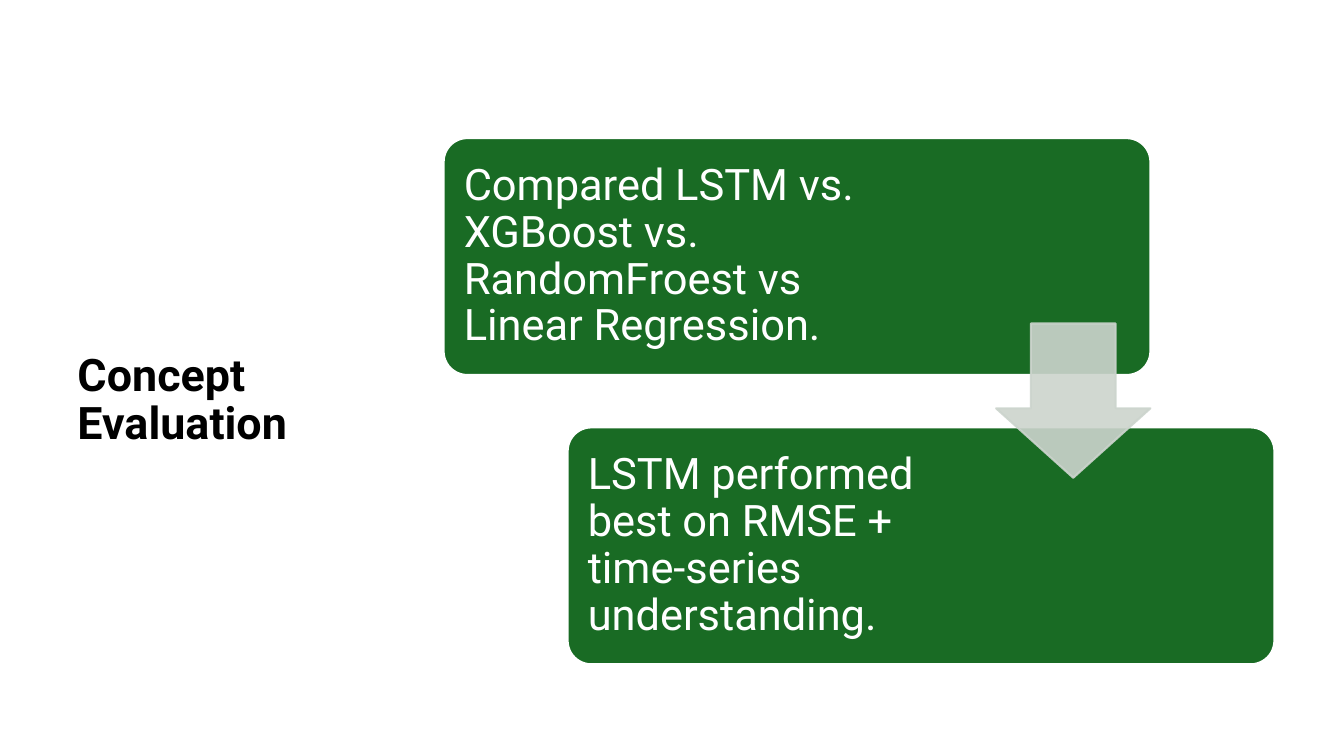
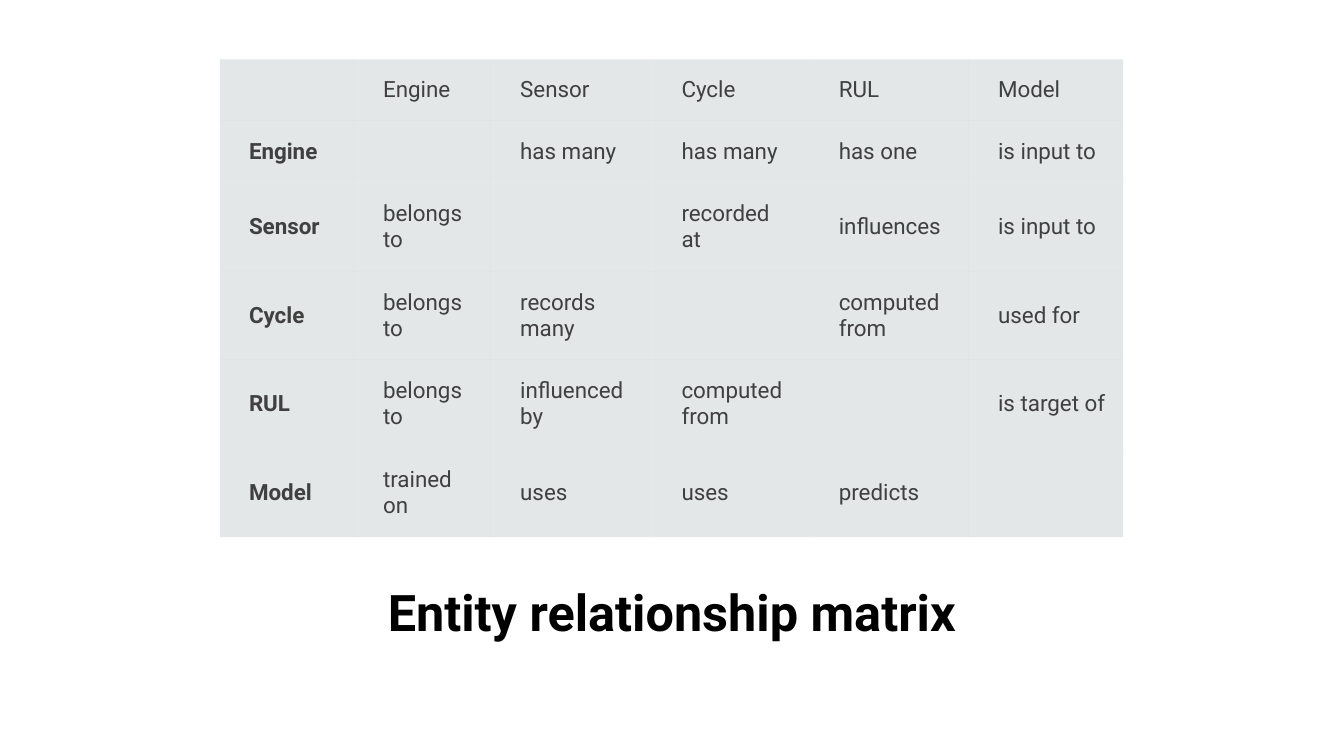
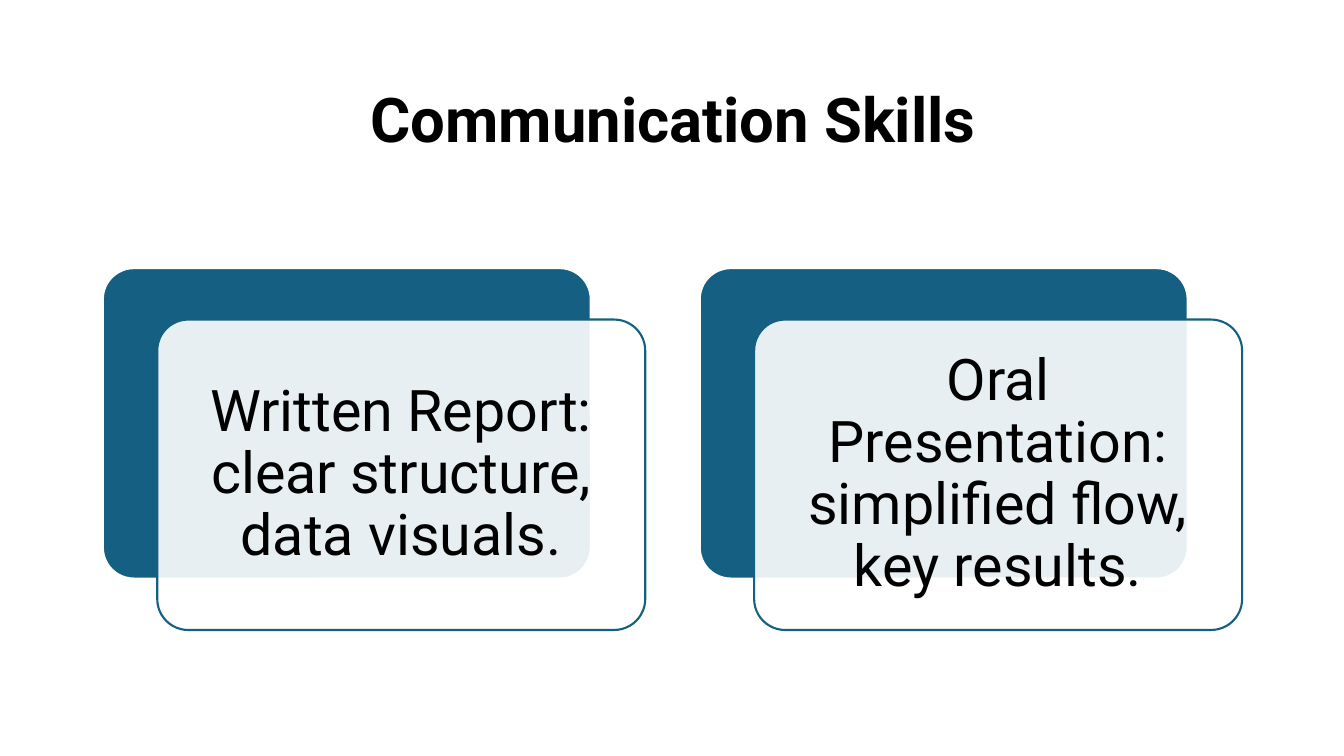
"""Build three project slides: evaluation steps, entity matrix and skills."""
from dataclasses import dataclass

from lxml import etree
from pptx import Presentation
from pptx import util as u
from pptx.dml.color import RGBColor
from pptx.enum import shapes, text
from pptx.oxml.ns import qn

SCALE = 9144
FONT = "Roboto"
BLACK = RGBColor(0x00, 0x00, 0x00)
WHITE = RGBColor(0xFF, 0xFF, 0xFF)
GREEN = RGBColor(0x19, 0x6B, 0x24)
SAGE = RGBColor(0xCC, 0xD4, 0xCD)
TEAL = RGBColor(0x15, 0x60, 0x82)
SLATE = RGBColor(0xB4, 0xBC, 0xBE)
GREY = RGBColor(0x40, 0x40, 0x40)
LEFT, MID = text.PP_ALIGN.LEFT, text.PP_ALIGN.CENTER
MIDDLE, BOTTOM = text.MSO_ANCHOR.MIDDLE, text.MSO_ANCHOR.BOTTOM
ROUND, ARROW = shapes.MSO_SHAPE.ROUNDED_RECTANGLE, shapes.MSO_SHAPE.DOWN_ARROW
NO_GRID = "{2D5ABB26-0587-4C30-8999-92F81FD0307C}"


@dataclass(frozen=True)
class Box:
    """A rectangle in px, 100 to the inch."""
    x: int
    y: int
    w: int
    h: int

    def emu(self) -> tuple:
        """Return the four lengths in EMU."""
        return tuple(px(n) for n in (self.x, self.y, self.w, self.h))


@dataclass(frozen=True)
class Style:
    """The look of one text."""
    size: int
    color: RGBColor = BLACK
    bold: bool = False
    align: int = LEFT
    anchor: int = MIDDLE
    pad: tuple = (10, 5)


@dataclass(frozen=True)
class Step:
    """A rounded panel with a label that fills part of its width."""
    x: int
    y: int
    width: int
    words: str


@dataclass(frozen=True)
class Card:
    """A pair of overlapping panels."""
    x: int
    words: str


STEPS = (
    Step(440, 137, 458,
         "Compared LSTM vs. XGBoost vs. RandomFroest vs Linear Regression."),
    Step(563, 424, 411,
         "LSTM performed best on RMSE + time-series understanding."),
)
CARDS = (
    Card(102, "Written Report: clear structure, data visuals."),
    Card(694, "Oral Presentation: simplified flow, key results."),
)
COLS = (133, 136, 160, 156, 158, 153)
ROWS = (61, 61, 88, 88, 88, 88)
MATRIX = (
    ("", "Engine", "Sensor", "Cycle", "RUL", "Model"),
    ("Engine", "", "has many", "has many", "has one", "is input to"),
    ("Sensor", "belongs to", "", "recorded at", "influences", "is input to"),
    ("Cycle", "belongs to", "records many", "", "computed from", "used for"),
    ("RUL", "belongs to", "influenced by", "computed from", "", "is target of"),
    ("Model", "trained on", "uses", "uses", "predicts", ""),
)


def px(n: int) -> u.Emu:
    """Turn px into EMU."""
    return u.Emu(n * SCALE)


def fade(node, share: int) -> None:
    """Make every colour under a node partly opaque."""
    for color in node.iter(qn("a:srgbClr")):
        etree.SubElement(color, qn("a:alpha")).set("val", str(share * 1000))


def ink(para, style: Style) -> None:
    """Format the runs of a paragraph."""
    for run in para.runs:
        run.font.name = FONT
        run.font.size = u.Pt(style.size)
        run.font.bold = style.bold
        run.font.color.rgb = style.color


def label(slide, box: Box, words: str, style: Style) -> None:
    """Add a wrapped text box."""
    frame = slide.shapes.add_textbox(*box.emu()).text_frame
    frame.word_wrap = True
    frame.vertical_anchor = style.anchor
    frame.margin_left = frame.margin_right = px(style.pad[0])
    frame.margin_top = frame.margin_bottom = px(style.pad[1])
    frame.text = words
    para = frame.paragraphs[0]
    para.alignment = style.align
    para.line_spacing = 0.9
    ink(para, style)


def title(slide, box: Box, words: str, size: int, align: int = MID,
          anchor: int = MIDDLE) -> None:
    """Add a bold slide title."""
    label(slide, box, words, Style(size, BLACK, True, align, anchor))


def panel(slide, kind: int, box: Box, fill: RGBColor, edge: RGBColor,
          cuts: tuple = (0.1,)):
    """Add a filled and outlined preset shape."""
    shape = slide.shapes.add_shape(kind, *box.emu())
    shape.shadow.inherit = False
    for i, cut in enumerate(cuts):
        shape.adjustments[i] = cut
    shape.fill.solid()
    shape.fill.fore_color.rgb = fill
    shape.line.color.rgb = edge
    shape.line.width = u.Pt(1.5)
    return shape


def concept(slide) -> None:
    """Draw the two evaluation steps."""
    title(slide, Box(67, 137, 318, 522), "Concept Evaluation", 32, LEFT)
    style = Style(31, WHITE, pad=(13, 13))
    for step in STEPS:
        panel(slide, ROUND, Box(step.x, step.y, 701, 235), GREEN, WHITE)
        label(slide, Box(step.x + 7, step.y + 7, step.width, 221),
              step.words, style)
    arrow = panel(slide, ARROW, Box(988, 321, 153, 153), SAGE, SAGE,
                  (0.45, 0.55))
    arrow.adjustments[0], arrow.adjustments[1] = 0.55, 0.45
    fade(arrow.element.spPr, 90)


def matrix(slide) -> None:
    """Draw the entity table."""
    title(slide, Box(218, 562, 897, 80), "Entity relationship matrix", 36,
          anchor=BOTTOM)
    box = Box(218, 59, sum(COLS), sum(ROWS))
    frame = slide.shapes.add_table(len(ROWS), len(COLS), *box.emu())
    table = frame.table
    table.horz_banding = table.first_row = False
    next(frame.element.iter(qn("a:tableStyleId"))).text = NO_GRID
    for col, width in zip(table.columns, COLS):
        col.width = px(width)
    for r, (row, high) in enumerate(zip(MATRIX, ROWS)):
        table.rows[r].height = px(high)
        for c, words in enumerate(row):
            cell = table.cell(r, c)
            cell.fill.solid()
            cell.fill.fore_color.rgb = SLATE
            if words:
                cell.text_frame.text = words
                cell.vertical_anchor = MIDDLE
                cell.margin_left = px(29)
                cell.margin_right = cell.margin_top = px(15)
                cell.margin_bottom = px(15)
                ink(cell.text_frame.paragraphs[0], Style(16, GREY, c == 0))
    for node in frame.element.iter(qn("a:tcPr")):
        fade(node, 35)


def skills(slide) -> None:
    """Draw the two skill cards."""
    title(slide, Box(167, 60, 1002, 124), "Communication Skills", 44)
    style = Style(41, align=MID, pad=(17, 17))
    for card in CARDS:
        panel(slide, ROUND, Box(card.x, 266, 484, 308), TEAL, WHITE)
        front = panel(slide, ROUND, Box(card.x + 54, 317, 484, 308),
                      WHITE, TEAL)
        fade(front.element.spPr.find(qn("a:solidFill")), 90)
        label(slide, Box(card.x + 63, 326, 466, 290), card.words, style)


def main() -> None:
    """Build and save the deck."""
    deck = Presentation()
    deck.slide_width, deck.slide_height = u.Inches(13.33), u.Inches(7.5)
    for draw in (concept, matrix, skills):
        draw(deck.slides.add_slide(deck.slide_layouts[6]))
    deck.save("out.pptx")


if __name__ == "__main__":
    main()
